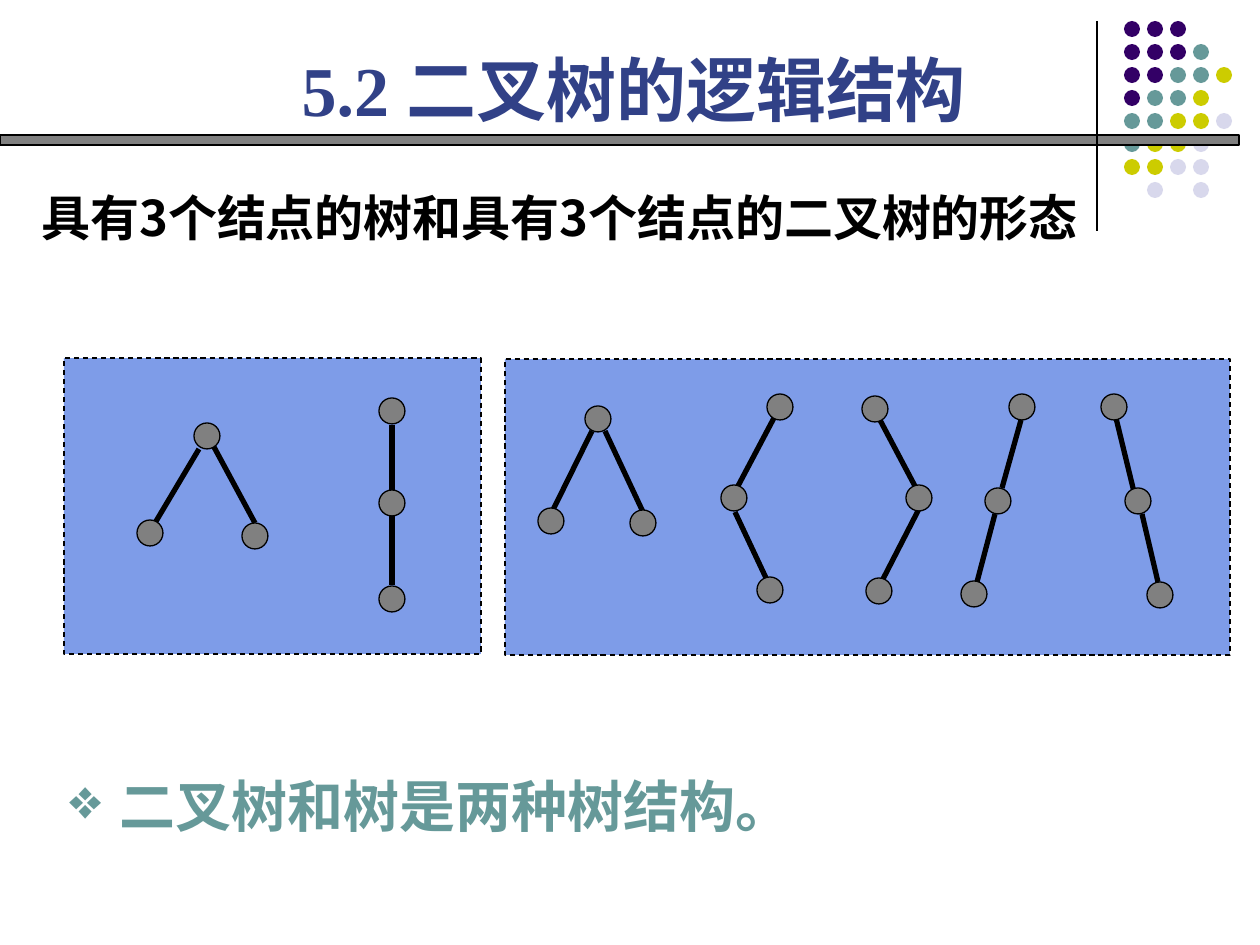
from lxml import etree
from pptx import Presentation
from pptx.dml.color import RGBColor
from pptx.enum.dml import MSO_LINE
from pptx.enum.shapes import MSO_CONNECTOR, MSO_SHAPE
from pptx.enum.text import MSO_ANCHOR, PP_ALIGN
from pptx.oxml.ns import qn
from pptx.util import Emu, Pt

STRAIGHT = MSO_CONNECTOR.STRAIGHT
OVAL, RECTANGLE = MSO_SHAPE.OVAL, MSO_SHAPE.RECTANGLE
DASH = MSO_LINE.DASH
TOP, MIDDLE = MSO_ANCHOR.TOP, MSO_ANCHOR.MIDDLE
LEFT, JUSTIFY = PP_ALIGN.LEFT, PP_ALIGN.JUSTIFY
SCALE = 914400 / 126
COLORS = {
    "black": "000000", "gray": "808080", "panel": "7E9CE8", "title": "314187",
    "P": "330066", "T": "669999", "Y": "CCCC00", "L": "D8D8EC",
}


def color(name):
    return RGBColor.from_string(COLORS[name])


def px(*lengths):
    return [Emu(round(length * SCALE)) for length in lengths]


presentation = Presentation()
presentation.slide_width, presentation.slide_height = px(1260, 945)
slide = presentation.slides.add_slide(presentation.slide_layouts[5])

dot_rows = ["PPP", "PPPT", "PPTTY", "PTTY", "TTYYL", "TYYL", "YYLL", " L L"]
shapes = [
    (OVAL, (1124 + 23 * column, 21 + 23 * row, 16, 16), name, False, False)
    for row, names in enumerate(dot_rows)
    for column, name in enumerate(names) if name != " "
]
shapes += [
    (RECTANGLE, (0, 135, 1239, 10), "gray", True, False),
    (RECTANGLE, (505, 359, 725, 296), "panel", True, True),
    (RECTANGLE, (64, 358, 417, 296), "panel", True, True),
]

trees = [
    ([(194, 423), (137, 520), (242, 523)],
     [(199, 449, 155, 523), (214, 447, 255, 523)]),
    ([(379, 398), (379, 490), (379, 586)],
     [(392, 425, 392, 493), (392, 515, 392, 585)]),
    ([(585, 406), (538, 508), (630, 510)],
     [(592, 431, 552, 512), (605, 431, 643, 512)]),
    ([(767, 394), (721, 485), (757, 577)],
     [(774, 418, 737, 488), (735, 512, 767, 580)]),
    ([(862, 396), (906, 485), (866, 578)],
     [(880, 420, 916, 488), (919, 509, 881, 583)]),
    ([(1009, 394), (985, 488), (961, 581)],
     [(1021, 420, 1002, 488), (995, 514, 977, 582)]),
    ([(1101, 394), (1125, 488), (1147, 582)],
     [(1116, 418, 1134, 492), (1142, 514, 1158, 582)]),
]
nodes = [
    (OVAL, (left, top, 26, 26), "gray", True, False)
    for tree_nodes, _ in trees for left, top in tree_nodes
]
lines = [((1097, 21, 1097, 231), 0.75)]
lines += [(edge, 3) for _, edges in trees for edge in edges]


for group in (shapes, lines, nodes):
    for item in group:
        if group is lines:
            ends, width = item
            connector = slide.shapes.add_connector(STRAIGHT, *px(*ends))
            connector.line.color.rgb = color("black")
            connector.line.width = Pt(width)
            etree.SubElement(connector._element.spPr, qn("a:effectLst"))
            continue
        kind, box, fill, outlined, dashed = item
        shape = slide.shapes.add_shape(kind, *px(*box))
        shape.shadow.inherit = False
        shape.fill.solid()
        shape.fill.fore_color.rgb = color(fill)
        if not outlined:
            shape.line.fill.background()
            continue
        shape.line.color.rgb = color("black")
        shape.line.width = Pt(0.75)
        if dashed:
            shape.line.dash_style = DASH

texts = [
    (slide.shapes.title, (289, 40, 804, 97), "5.2 二叉树的逻辑结构", TOP, JUSTIFY, "title",
     {"size": Pt(40), "name": "Times New Roman", "bold": True}),
    (None, (29, 181, 1106, 72), "具有3个结点的树和具有3个结点的二叉树的形态", MIDDLE, LEFT, "black",
     {"size": Pt(28), "name": "Noto Sans CJK SC", "bold": True}),
    (None, (57, 765, 975, 81), "二叉树和树是两种树结构。", TOP, JUSTIFY, "T",
     {"size": Pt(32), "name": "Times New Roman", "bold": True}),
]
for shape, box, text, anchor, alignment, text_color, formats in texts:
    if shape is None:
        shape = slide.shapes.add_textbox(*px(*box))
    shape.left, shape.top, shape.width, shape.height = px(*box)
    frame = shape.text_frame
    frame.word_wrap = True
    frame.vertical_anchor = anchor
    frame.text = text
    paragraph = frame.paragraphs[0]
    paragraph.alignment = alignment
    font = paragraph.runs[0].font
    for attribute, value in formats.items():
        setattr(font, attribute, value)
    font.color.rgb = color(text_color)

indent = px(50)[0]
properties = paragraph._p.get_or_add_pPr()
properties.set("marL", str(indent))
properties.set("indent", str(-indent))
bullet_color = etree.SubElement(properties, qn("a:buClr"))
etree.SubElement(bullet_color, qn("a:srgbClr"), val=COLORS["T"])
etree.SubElement(properties, qn("a:buChar"), char="❖")

presentation.save("out.pptx")
